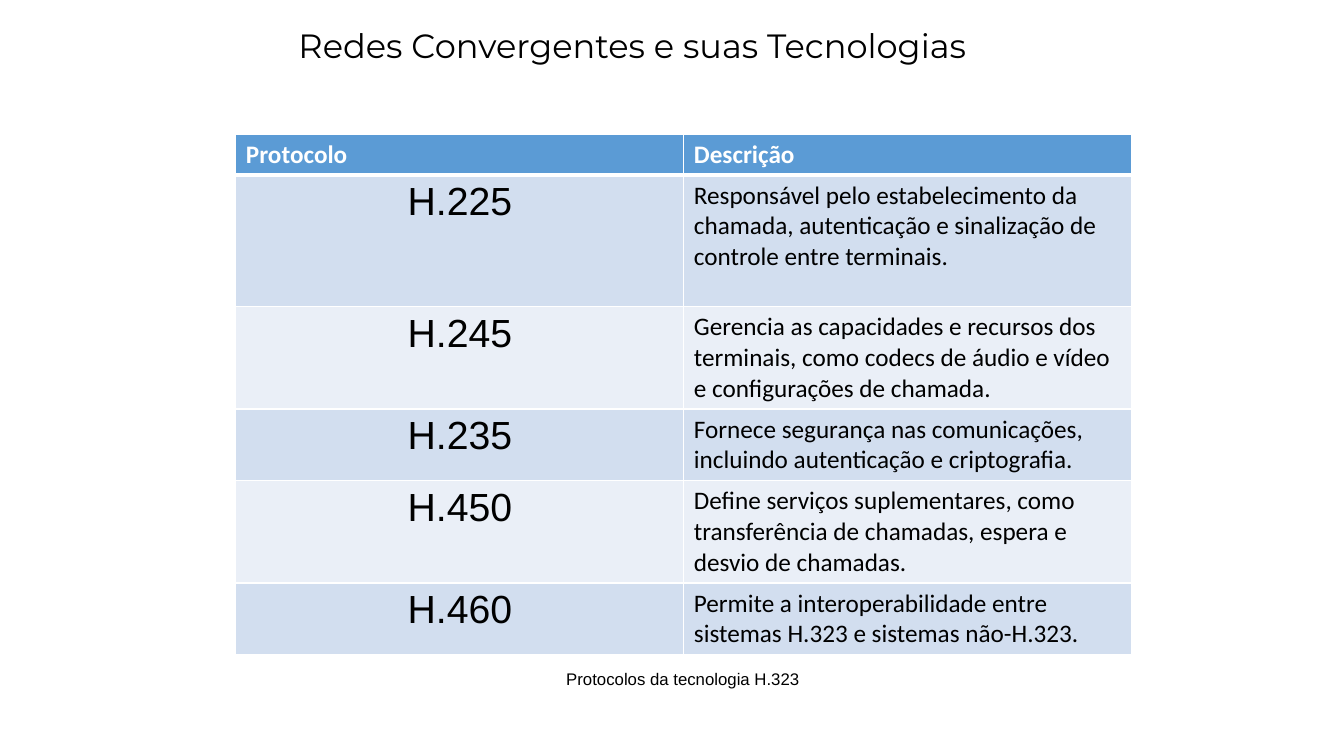
from dataclasses import dataclass

from lxml.etree import SubElement
from pptx import Presentation
from pptx.dml.color import RGBColor
from pptx.enum.text import MSO_ANCHOR as Anchor, MSO_AUTO_SIZE as Fit, PP_ALIGN as Align
from pptx.oxml.ns import qn
from pptx.util import Pt

WHITE, BLACK, BLUE = "FFFFFF", "000000", "5B9BD5"
BANDS = ("D2DEEF", "EAEFF7")


@dataclass(frozen=True)
class Style:
    font: str
    size: float
    color: str = BLACK
    bold: bool = False
    align: Align = Align.LEFT


@dataclass(frozen=True)
class Row:
    code: str
    text: str
    height: float


TITLE = Style("Montserrat", 24)
HEAD = Style("Calibri", 18, WHITE, True)
CODE = Style("Arial", 28, align=Align.CENTER)
BODY = Style("Calibri", 18)
NOTE = Style("Arial", 12)

ROWS = (
    Row("Protocolo", "Descrição", 29.2),
    Row("H.225", "Responsável pelo estabelecimento da chamada, autenticação e "
        "sinalização de controle entre terminais.", 94),
    Row("H.245", "Gerencia as capacidades e recursos dos terminais, como codecs "
        "de áudio e vídeo e configurações de chamada.", 72),
    Row("H.235", "Fornece segurança nas comunicações, incluindo autenticação e "
        "criptografia.", 50.4),
    Row("H.450", "Define serviços suplementares, como transferência de chamadas, "
        "espera e desvio de chamadas.", 72),
    Row("H.460", "Permite a interoperabilidade entre sistemas H.323 e sistemas "
        "não-H.323.", 50.4),
)


def rgb(code: str) -> RGBColor:
    return RGBColor.from_string(code)


def write(frame, text: str, style: Style) -> None:
    frame.text = text
    para = frame.paragraphs[0]
    para.alignment = style.align
    font = para.font
    font.name, font.size, font.bold = style.font, Pt(style.size), style.bold
    font.color.rgb = rgb(style.color)


def border(cell, side: str, width: float) -> None:
    props = cell._tc.get_or_add_tcPr()
    line = SubElement(props, qn(f"a:ln{side}"), w=str(Pt(width)))
    fill = SubElement(line, qn("a:solidFill"))
    SubElement(fill, qn("a:srgbClr"), val=WHITE)


def paint(cell, text: str, style: Style, color: str, top: float, base: float) -> None:
    write(cell.text_frame, text, style)
    for side, width in (("L", 1), ("R", 1), ("T", top), ("B", base)):
        border(cell, side, width)
    cell.fill.solid()
    cell.fill.fore_color.rgb = rgb(color)


def add_grid(slide) -> None:
    high = sum(row.height for row in ROWS)
    grid = slide.shapes.add_table(
        len(ROWS), 2, Pt(168.5), Pt(95.8), Pt(640), Pt(high)).table
    for i, row in enumerate(ROWS):
        grid.rows[i].height = Pt(row.height)
        color = BANDS[(i - 1) % 2] if i else BLUE
        styles = (CODE, BODY) if i else (HEAD, HEAD)
        top, base = 3 if i == 1 else 1, 1 if i else 3
        for j, text in enumerate((row.code, row.text)):
            paint(grid.cell(i, j), text, styles[j], color, top, base)


def main() -> None:
    deck = Presentation()
    deck.slide_width, deck.slide_height = Pt(960), Pt(540)
    slide = deck.slides.add_slide(deck.slide_layouts[5])

    title = slide.shapes.title
    title.left, title.top, title.width, title.height = Pt(206), Pt(14.4), Pt(549), Pt(36)
    frame = title.text_frame
    frame.auto_size, frame.vertical_anchor = Fit.NONE, Anchor.TOP
    write(frame, "Redes Convergentes e suas Tecnologias", TITLE)

    add_grid(slide)

    note = slide.shapes.add_textbox(Pt(397.4), Pt(473.8), Pt(182.2), Pt(21.6))
    write(note.text_frame, "Protocolos da tecnologia H.323", NOTE)

    deck.save("out.pptx")


if __name__ == "__main__":
    main()
